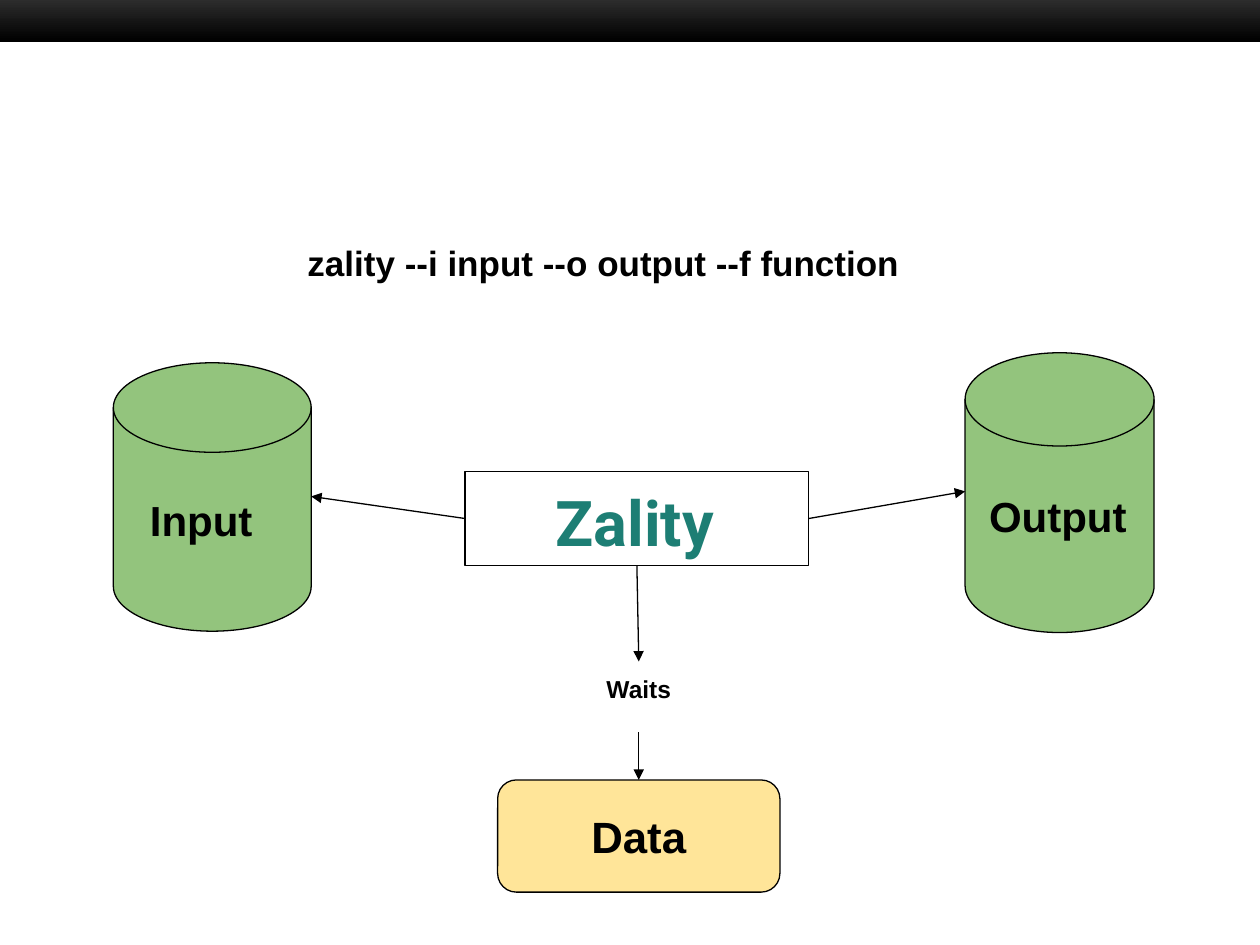
from dataclasses import dataclass
from typing import Optional

from lxml.etree import SubElement
from pptx import Presentation
from pptx.dml.color import RGBColor
from pptx.enum.shapes import MSO_CONNECTOR as Connector, MSO_SHAPE as Preset
from pptx.enum.text import MSO_ANCHOR as Anchor, MSO_AUTO_SIZE as AutoSize, PP_ALIGN as Align
from pptx.oxml.ns import qn
from pptx.util import Inches, Pt

COLORS = {
    "black": "000000",
    "charcoal": "333333",
    "white": "FFFFFF",
    "green": "93C47D",
    "yellow": "FFE599",
    "teal": "1D7E74",
}
TOP, LEFT, BOTTOM, RIGHT = range(4)
INSET = 0.1


@dataclass
class Label:
    text: str
    size: float
    color: str = "black"
    font: str = "Arial"
    align: Align = Align.LEFT
    anchor: Anchor = Anchor.MIDDLE
    indent: float = 0


@dataclass
class Node:
    name: str
    box: tuple
    label: Label
    preset: Optional[Preset] = None
    fill: Optional[str] = None


@dataclass
class Arrow:
    start: tuple
    end: tuple
    source: Optional[str] = None
    source_side: int = BOTTOM
    target: Optional[str] = None


COMMAND = Label("zality --i input --o output --f function", 20, anchor=Anchor.TOP)
COMMAND_BOX = (2.34, 1.82, 6.51, 1.81)
BAND_BOX = (0, -0.05, 10, 0.38)

NODES = [
    Node("tool", (3.69, 3.74, 2.73, 0.75),
         Label("Zality", 36, "teal", "Roboto", anchor=Anchor.TOP, indent=0.62),
         Preset.RECTANGLE),
    Node("input", (0.9, 2.88, 1.57, 2.13), Label("Input", 24, indent=0.19),
         Preset.FLOWCHART_MAGNETIC_DISK, "green"),
    Node("output", (7.66, 2.8, 1.5, 2.22), Label("Output", 24, indent=0.09),
         Preset.FLOWCHART_MAGNETIC_DISK, "green"),
    Node("data", (3.95, 6.19, 2.24, 0.89), Label("Data", 25, align=Align.CENTER),
         Preset.ROUNDED_RECTANGLE, "yellow"),
    Node("waits", (4.59, 5.25, 0.96, 0.56),
         Label("Waits", 14, align=Align.CENTER, anchor=Anchor.TOP)),
]

ARROWS = [
    Arrow((3.69, 4.12), (2.47, 3.94), "tool", LEFT),
    Arrow((6.42, 4.12), (7.66, 3.9), "tool", RIGHT),
    Arrow((5.05, 4.49), (5.07, 5.25), "tool", BOTTOM, "waits"),
    Arrow((5.07, 5.82), (5.07, 6.19), "waits", BOTTOM, "data"),
]


def rgb(name: str) -> RGBColor:
    return RGBColor.from_string(COLORS[name])


def apply(target, values: dict) -> None:
    for attribute, value in values.items():
        setattr(target, attribute, value)


def outline(shape, color: str = "black") -> None:
    shape.line.color.rgb = rgb(color)
    shape.line.width = Pt(0.75)


def write_label(shape, label: Label) -> None:
    frame = shape.text_frame
    apply(frame, {
        "word_wrap": True,
        "auto_size": AutoSize.NONE,
        "vertical_anchor": label.anchor,
        "margin_left": Inches(INSET + label.indent),
        "margin_top": Inches(INSET),
        "margin_right": Inches(INSET),
        "margin_bottom": Inches(INSET),
    })
    paragraph = frame.paragraphs[0]
    paragraph.alignment = label.align
    run = paragraph.add_run()
    run.text = label.text
    apply(run.font, {"name": label.font, "size": Pt(label.size), "bold": True})
    run.font.color.rgb = rgb(label.color)


def add_band(slide) -> None:
    band = slide.shapes.add_shape(Preset.RECTANGLE, *map(Inches, BAND_BOX))
    band.shadow.inherit = False
    band.line.fill.background()
    band.fill.gradient()
    band.fill.gradient_angle = 270
    for stop, color, position in zip(band.fill.gradient_stops, ("charcoal", "black"), (0, 1)):
        stop.color.rgb = rgb(color)
        stop.position = position


def add_command(slide) -> None:
    title = slide.shapes.title
    apply(title, dict(zip(("left", "top", "width", "height"), map(Inches, COMMAND_BOX))))
    outline(title, "white")
    write_label(title, COMMAND)


def add_node(slide, node: Node):
    box = map(Inches, node.box)
    if node.preset is None:
        shape = slide.shapes.add_textbox(*box)
    else:
        shape = slide.shapes.add_shape(node.preset, *box)
        shape.shadow.inherit = False
        outline(shape)
        if node.fill:
            shape.fill.solid()
            shape.fill.fore_color.rgb = rgb(node.fill)
        else:
            shape.fill.background()
    write_label(shape, node.label)
    return shape


def add_arrow(slide, arrow: Arrow, shapes: dict) -> None:
    connector = slide.shapes.add_connector(
        Connector.STRAIGHT, *map(Inches, arrow.start + arrow.end))
    if arrow.source:
        connector.begin_connect(shapes[arrow.source], arrow.source_side)
    if arrow.target:
        connector.end_connect(shapes[arrow.target], TOP)
    outline(connector)
    properties = connector._element.spPr
    SubElement(properties.find(qn("a:ln")), qn("a:tailEnd"), type="triangle")
    SubElement(properties, qn("a:effectLst"))


def main() -> None:
    presentation = Presentation()
    apply(presentation, {"slide_width": Inches(10), "slide_height": Inches(7.5)})
    slide = presentation.slides.add_slide(presentation.slide_layouts[5])
    add_band(slide)
    add_command(slide)
    shapes = {node.name: add_node(slide, node) for node in NODES}
    for arrow in ARROWS:
        add_arrow(slide, arrow, shapes)
    presentation.save("out.pptx")


if __name__ == "__main__":
    main()
